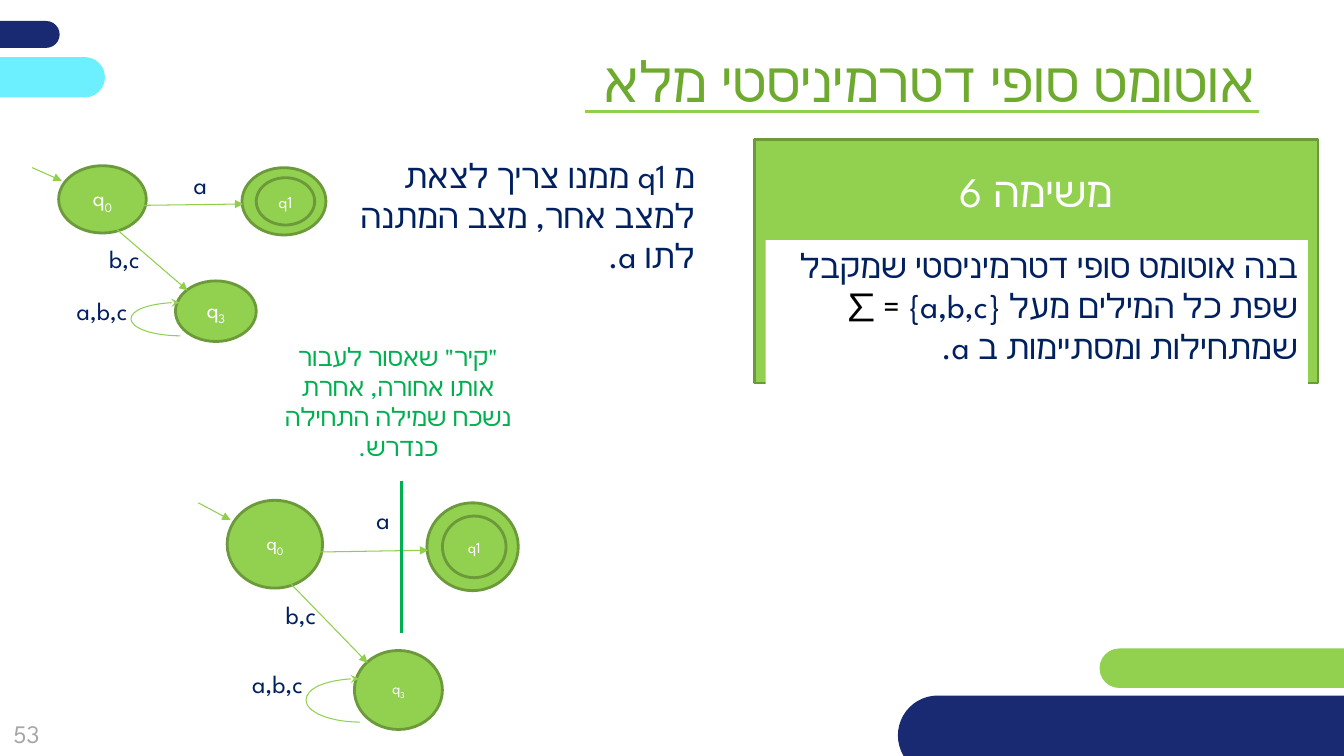
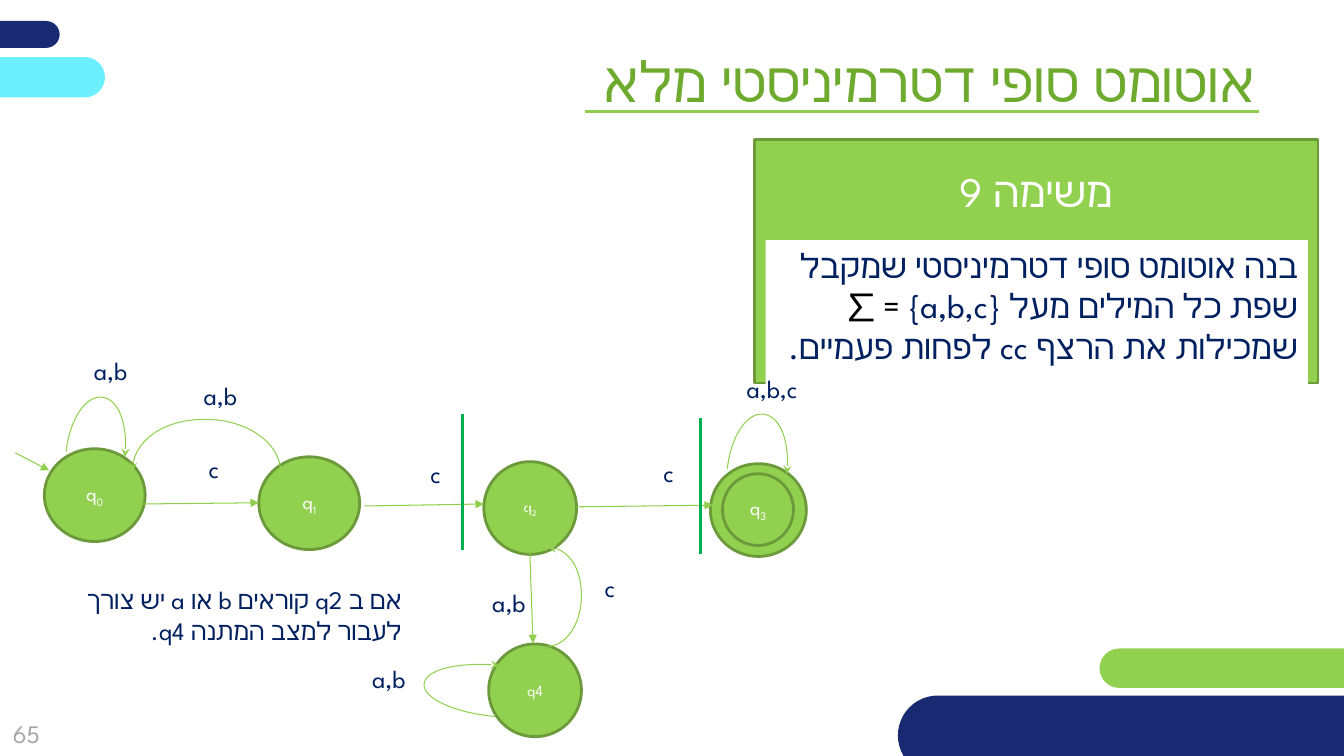
from lxml import etree
from pptx import Presentation, util as u
from pptx.dml.color import RGBColor
from pptx.enum import shapes as es, text as et
from pptx.oxml.ns import qn

HEX = {
    "navy": "192A72", "green": "92D050", "cyan": "6CF0FF", "rim": "6C9A3B",
    "edge": "8FCF4B", "title": "6EAA2E", "ink": "002060", "wall": "00B050",
    "grey": "A6A6A6", "white": "FFFFFF", "black": "000000",
}
FACE = "League Spartan"
TITLE = "אוטומט סופי דטרמיניסטי מלא"
CELL = u.Inches(1) // 12          # the slide is a grid of 160 x 90 cells
KIND = es.MSO_SHAPE
ALIGN = et.PP_ALIGN
ANCHOR = et.MSO_ANCHOR
ROUND = 0.55                      # handle length of a quarter ellipse


# --- Boxes: (left, top, width, height) in cells, parts in percent ---
def point(box, x, y):
    return box[0] + box[2] * x / 100, box[1] + box[3] * y / 100


def part(box, x, y, wide, high):
    return (*point(box, x, y), box[2] * wide / 100, box[3] * high / 100)


def emu(cells):
    return [round(c * CELL) for c in cells]


# --- Basic parts ---
def color(name):
    return RGBColor.from_string(HEX[name])


def shape(slide, kind, box, fill, rim=None):
    item = slide.shapes.add_shape(kind, *emu(box))
    item.shadow.inherit = False
    item.fill.solid()
    item.fill.fore_color.rgb = color(fill)
    if rim:
        item.line.color.rgb = color(rim)
        item.line.width = u.Pt(2)
    else:
        item.line.fill.background()
    return item


def write(item, runs, size, ink, align=ALIGN.RIGHT, anchor=ANCHOR.TOP,
          wrap=True, rtl=True):
    """Runs are (text, own colour or None, subscript or not)."""
    frame = item.text_frame
    frame.word_wrap = wrap
    frame.vertical_anchor = anchor
    para = frame.paragraphs[0]
    para.alignment = align
    font = para.font
    font.name, font.size = FACE, u.Pt(size)
    font.color.rgb = color(ink)
    props = para._p.get_or_add_pPr()
    props.set("rtl", "1" if rtl else "0")
    etree.SubElement(props.find(qn("a:defRPr")), qn("a:cs"), typeface=FACE)
    for words, own, sub in runs:
        run = para.add_run()
        run.text = words
        if own:
            run.font.color.rgb = color(own)
        if sub:
            run._r.get_or_add_rPr().set("baseline", "-25000")
    return frame


def note(slide, box, words, size, ink="ink", **style):
    item = slide.shapes.add_textbox(*emu(box))
    write(item, [(words, None, False)], size, ink, **style)


def arrow(item, end, kind):
    etree.SubElement(item.line._get_or_add_ln(), qn("a:" + end), type=kind)


def line(slide, start, stop, ink="edge", width=0.75, tip=False):
    item = slide.shapes.add_connector(
        es.MSO_CONNECTOR.STRAIGHT, *emu(start), *emu(stop))
    item.line.color.rgb = color(ink)
    item.line.width = u.Pt(width)
    if tip:
        arrow(item, "tailEnd", "triangle")
    etree.SubElement(item._element.spPr, qn("a:effectLst"))


def arc(slide, tip, tail, top):
    """Half ellipse through its top, with the arrowhead at tip."""
    half = [(b - a) / 2 for a, b in zip(tip, tail)]
    rise = [c - (a + b) / 2 for a, b, c in zip(tip, tail, top)]

    def move(start, step, share):
        return [s + d * share for s, d in zip(start, step)]

    path = [move(tip, rise, ROUND), move(top, half, -ROUND), top,
            move(top, half, ROUND), move(tail, rise, ROUND), tail]
    pen = slide.shapes.build_freeform(*emu(tip))
    pen.add_line_segments([emu(p) for p in path], close=False)
    item = pen.convert_to_shape()
    # Turn the six legs into two cubic curves
    legs = list(item._element.iter(qn("a:lnTo")))
    for first in (0, 3):
        curve = etree.SubElement(legs[0].getparent(), qn("a:cubicBezTo"))
        for leg in legs[first:first + 3]:
            curve.append(leg[0])
    for leg in legs:
        leg.getparent().remove(leg)
    item.shadow.inherit = False
    item.fill.background()
    item.line.color.rgb = color("green")
    item.line.width = u.Pt(0.75)
    arrow(item, "headEnd", "stealth")


# --- Automaton: every place is a percent of its box ---
def node(slide, box, name, sub, size):
    item = shape(slide, KIND.OVAL, box, "green", "rim")
    runs = [(name, None, False)] + ([(sub, None, True)] if sub else [])
    write(item, runs, size, "white", ALIGN.CENTER, ANCHOR.MIDDLE, wrap=False)


def graph(slide, box, nodes, rings=(), edges=(), loops=(), tags=(), walls=()):
    for ring in rings:
        shape(slide, KIND.OVAL, part(box, *ring), "green", "rim")
    for spot, name, sub, size in nodes:
        node(slide, part(box, *spot), name, sub, size)
    for x1, y1, x2, y2 in edges:
        line(slide, point(box, x1, y1), point(box, x2, y2), tip=True)
    for ends in loops:
        arc(slide, *(point(box, *end) for end in ends))
    for right, top, words in tags:
        x, y = point(box, right, top)
        note(slide, (x - 15, y, 15, 5), words, 18)
    for x, y1, y2 in walls:
        line(slide, point(box, x, y1), point(box, x, y2), "wall", 2.25)


def starter(slide, box, sizes, walls=()):
    """Words that begin with a, with a trap state for the rest."""
    first, last, trap = sizes
    graph(
        slide, box,
        nodes=[((14, 0.6, 28.2, 38), "q", "0", first),
               ((77.6, 7.4, 18.8, 26.7), "q1", "", last),
               ((51.6, 65.6, 26, 34.2), "q", "3", trap)],
        rings=[(73, 1.7, 27, 38)],
        edges=[(5.5, 1.7, 15, 9.1), (40.3, 23, 73.4, 22.2),
               (31.8, 35.2, 55.5, 71)],
        loops=[((52.9, 77.8), (53.2, 96.6), (37.3, 87.2))],
        tags=[(64.9, 0, "a"), (43.2, 41.5, "b,c"), (39.3, 71, "a,b,c")],
        walls=walls)


def counter(slide, box):
    """Words that hold cc at least twice."""
    wide, high = 12.5, 23
    graph(
        slide, box,
        nodes=[((5.5, 23.8, wide, high), "q", "0", 14),
               ((32.1, 25.8, wide, high), "q", "1", 14),
               ((60, 27, 11.5, high), "q", "2", 11),
               ((89.6, 30, 8.8, 17.8), "q", "3", 14),
               ((60.6, 72.2, 11.5, high), "q4", "", 11)],
        rings=[(88.1, 27.5, 11.9, high)],
        edges=[(1.9, 24.8, 6.1, 29.2), (17.2, 37.5, 32.1, 37.2),
               (45.2, 38, 60, 37.5), (71.5, 38.2, 88.4, 37.8),
               (65.5, 37.5, 66.1, 72)],
        loops=[((97.6, 30), (90.2, 28.8), (94.6, 15.2)),
               ((16.4, 29.2), (34.8, 29.5), (25.6, 16.5)),
               ((15.5, 25.8), (8.2, 24.5), (12.6, 11)),
               ((68, 48.2), (67.9, 72.8), (72.1, 60.5)),
               ((61.9, 77.5), (61.4, 90.2), (52.6, 82.2))],
        tags=[(55.9, 25, "c"), (28.4, 23.8, "c"), (84.8, 24.8, "c"),
              (17, -0.5, "a,b"), (100.1, 3.8, "a,b,c"), (30.6, 5.5, "a,b"),
              (66.4, 57, "a,b"), (77.5, 53.2, "c"), (51.5, 75.8, "a,b")],
        walls=[(57.4, 15.2, 48.8), (86.9, 16.2, 49.8)])


# --- Shared frame: bars, page number, title, task card ---
def card(slide, box, task, goal):
    item = shape(slide, KIND.RECTANGLE, box, "green", "rim")
    frame = write(item, [(task, None, False)], 30, "white",
                  ALIGN.CENTER, ANCHOR.MIDDLE)
    frame.margin_bottom = round(box[3] * 0.6 * CELL)
    sheet = shape(slide, KIND.RECTANGLE, part(box, 2, 41.3, 96.2, 71), "white")
    write(sheet, [("בנה אוטומט סופי דטרמיניסטי שמקבל שפת כל המילים מעל {a,b,c}",
                   None, False),
                  (" = ∑", "black", False), (" " + goal, None, False)],
          24, "ink")


def page(deck, number, task, goal):
    slide = deck.slides.add_slide(deck.slide_layouts[6])
    bars = [((-31.9, 2.5, 39, 3.2), "navy"), ((130.9, 77.2, 62.5, 4.7), "green"),
            ((-26.5, 6.8, 39, 4.8), "cyan"), ((106.9, 82.8, 67.9, 9.5), "navy")]
    for box, fill in bars:
        bar = shape(slide, KIND.ROUNDED_RECTANGLE, box, fill)
        bar.adjustments[0] = 0.5
    note(slide, (-2.2, 83.9, 10.7, 6.8), number, 18, "grey",
         align=ALIGN.CENTER, anchor=ANCHOR.MIDDLE, rtl=False)
    line(slide, (69.6, 13.3), (149.9, 13.3), width=2.25)
    note(slide, (52.8, 4.9, 97.9, 9.2), TITLE, 40, "title")
    card(slide, (89.8, 16.6, 67.1, 29), task, goal)
    return slide


def main():
    deck = Presentation()
    deck.slide_width, deck.slide_height = 160 * CELL, 90 * CELL

    # Task 6
    slide = page(deck, "53", "משימה 6", "שמתחילות ומסתיימות ב a.")
    starter(slide, (1.8, 19.6, 37, 21.1), (16, 12, 16))
    note(slide, (38.9, 17.8, 45, 15.7),
         "מ q1 ממנו צריך לצאת למצב אחר, מצב המתנה לתו a.", 24)
    starter(slide, (21.4, 59.4, 40.3, 27.5), (14, 11, 11),
            walls=[(65.6, -7.9, 58.1)])
    note(slide, (31.8, 40, 31.2, 15.7),
         "\"קיר\" שאסור לעבור אותו אחורה, אחרת נשכח שמילה התחילה כנדרש.",
         18, "wall", align=ALIGN.CENTER)

    # Task 9
    slide = page(deck, "65", "משימה 9", "שמכילות את הרצף cc לפחות פעמיים.")
    note(slide, (3.4, 69, 45.6, 8.5),
         "אם ב q2 קוראים b או a יש צורך לעבור למצב המתנה q4.", 18)
    counter(slide, (0, 42, 96, 48))

    deck.save("out.pptx")


if __name__ == "__main__":
    main()
